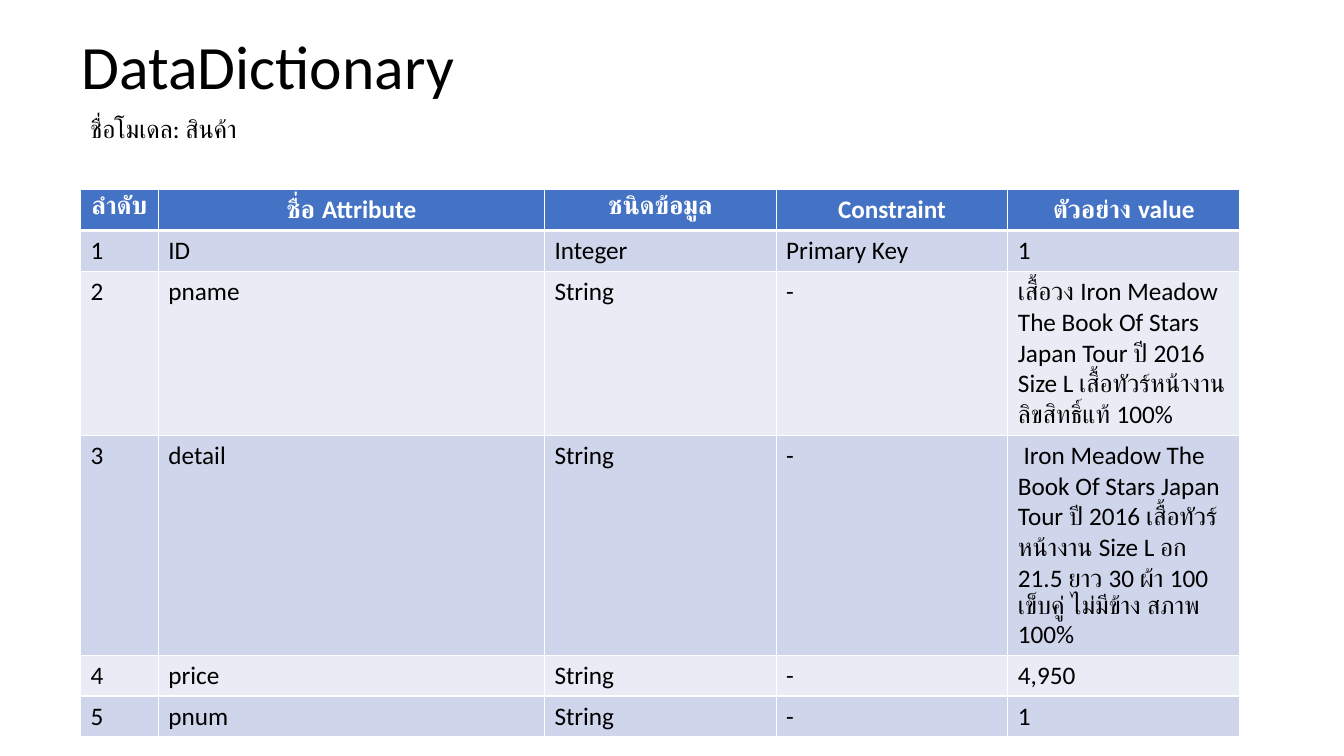
from lxml import etree
from pptx import Presentation
from pptx import util as u
from pptx.dml.color import RGBColor
from pptx.enum import text
from pptx.oxml import ns

TITLE = "DataDictionary"
MODEL = "ชื่อโมเดล: สินค้า"
HEADER = ("ลำดับ", "ชื่อ Attribute", "ชนิดข้อมูล", "Constraint", "ตัวอย่าง value")
ATTRIBUTES = [
    ("ID", "Integer", "Primary Key", "1"),
    ("pname", "String", "-",
     "เสื้อวง Iron Meadow The Book Of Stars Japan Tour ปี 2016 Size L "
     "เสื้อทัวร์หน้างาน ลิขสิทธิ์แท้ 100%"),
    ("detail", "String", "-",
     " Iron Meadow The Book Of Stars Japan Tour ปี 2016 เสื้อทัวร์หน้างาน Size L "
     "อก 21.5 ยาว 30 ผ้า 100 เข็บคู่ ไม่มีข้าง สภาพ 100%"),
    ("price", "String", "-", "4,950"),
    ("pnum", "String", "-", "1"),
]
COLORS = {"ink": "000000", "paper": "FFFFFF", "header": "4472C4",
          "odd": "CFD5EA", "even": "E9EBF5"}
FONT = "Calibri"
COLUMN_WIDTHS = (1.96, 9.73, 5.84, 5.84, 5.84)
ROW_HEIGHT = 1.03
TABLE_LEFT, TABLE_TOP = 2.03, 4.78


def write(frame, words, size=18, color="ink", bold=False,
          align=text.PP_ALIGN.LEFT, spacing=None):
    para = frame.paragraphs[0]
    para.alignment = align
    para.line_spacing = spacing
    span = para.add_run()
    span.text = words
    span.font.name = FONT
    span.font.size = u.Pt(size)
    span.font.bold = bold
    span.font.color.rgb = RGBColor.from_string(COLORS[color])


def border(cell, **widths):
    """Draw white edges; widths are points keyed by L, R, T, B in that order."""
    properties = cell._tc.get_or_add_tcPr()
    for side, width in widths.items():
        line = etree.SubElement(properties, ns.qn(f"a:ln{side}"), w=str(u.Pt(width)))
        fill = etree.SubElement(line, ns.qn("a:solidFill"))
        etree.SubElement(fill, ns.qn("a:srgbClr"), val=COLORS["paper"])


def add_dictionary(page):
    rows = [HEADER] + [(str(number), *attribute)
                       for number, attribute in enumerate(ATTRIBUTES, 1)]
    table = page.shapes.add_table(
        len(rows), len(HEADER), u.Cm(TABLE_LEFT), u.Cm(TABLE_TOP),
        u.Cm(sum(COLUMN_WIDTHS)), u.Cm(ROW_HEIGHT * len(rows))).table
    for column, width in zip(table.columns, COLUMN_WIDTHS):
        column.width = u.Cm(width)
    for r, values in enumerate(rows):
        table.rows[r].height = u.Cm(ROW_HEIGHT)
        is_header = r == 0
        shade = "header" if is_header else "odd" if r % 2 else "even"
        for c, value in enumerate(values):
            cell = table.cell(r, c)
            border(cell, L=1, R=1, T=3 if r == 1 else 1, B=3 if is_header else 1)
            cell.fill.solid()
            cell.fill.fore_color.rgb = RGBColor.from_string(COLORS[shade])
            write(cell.text_frame, value, bold=is_header,
                  color="paper" if is_header else "ink",
                  align=text.PP_ALIGN.CENTER if is_header else text.PP_ALIGN.LEFT)


def main():
    deck = Presentation()
    deck.slide_width, deck.slide_height = u.Cm(33.87), u.Cm(19.05)
    page = deck.slides.add_slide(deck.slide_layouts[5])

    title = page.shapes.title
    title.left, title.top = u.Cm(1.8), u.Cm(-0.1)
    title.width, title.height = u.Cm(29.21), u.Cm(3.68)
    title.text_frame.vertical_anchor = text.MSO_ANCHOR.MIDDLE
    write(title.text_frame, TITLE, size=44, spacing=0.9)

    add_dictionary(page)

    model = page.shapes.add_textbox(u.Cm(TABLE_LEFT), u.Cm(2.74), u.Cm(10.39), u.Cm(1.03))
    model.text_frame.word_wrap = True
    model.text_frame.auto_size = text.MSO_AUTO_SIZE.SHAPE_TO_FIT_TEXT
    write(model.text_frame, MODEL)

    deck.save("out.pptx")


if __name__ == "__main__":
    main()
